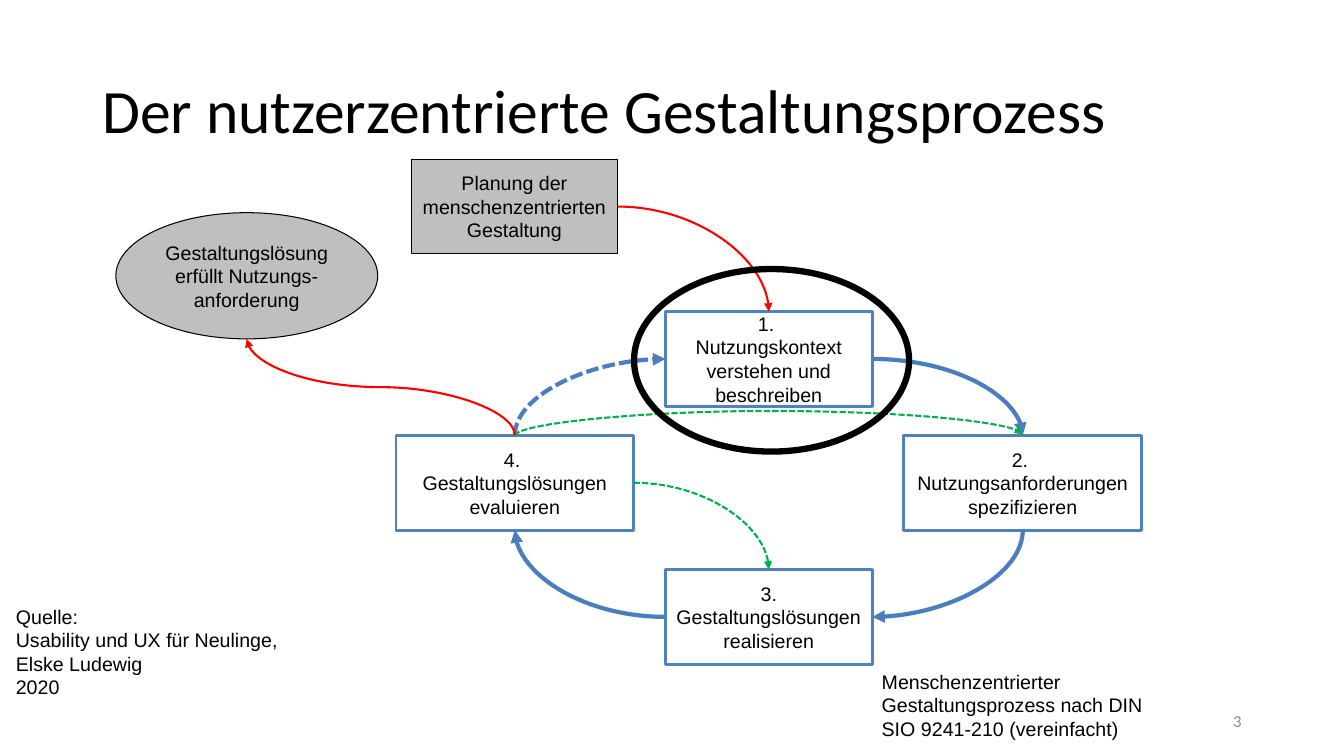
from lxml import etree
from pptx import Presentation
from pptx.dml.color import RGBColor
from pptx.enum import dml, shapes, text
from pptx.oxml import ns
from pptx.util import Cm, Pt

BLACK = RGBColor(0, 0, 0)
WHITE = RGBColor(255, 255, 255)
SILVER = RGBColor(0xBF, 0xBF, 0xBF)
GREY = RGBColor(0x8C, 0x8C, 0x8C)
BLUE = RGBColor(0x4F, 0x81, 0xBD)
STEEL = RGBColor(0x4B, 0x7E, 0xBC)
GREEN = RGBColor(0, 0xB0, 0x50)
RED = RGBColor(255, 0, 0)

TOP, LEFT, BOTTOM, RIGHT = range(4)
RECT, OVAL = shapes.MSO_SHAPE.RECTANGLE, shapes.MSO_SHAPE.OVAL
CENTER, END = text.PP_ALIGN.CENTER, text.PP_ALIGN.RIGHT
MIDDLE, UPPER = text.MSO_ANCHOR.MIDDLE, text.MSO_ANCHOR.TOP
HIGH = 2.39


def write(shape, lines, size=14, font="Arial", color=BLACK, align=None,
          anchor=UPPER, spacing=None):
    frame = shape.text_frame
    frame.word_wrap = True
    frame.vertical_anchor = anchor
    for i, line in enumerate(lines):
        para = frame.add_paragraph() if i else frame.paragraphs[0]
        para.alignment, para.line_spacing = align, spacing
        run = para.add_run()
        run.text = line
        for name, value in {"size": Pt(size), "name": font}.items():
            setattr(run.font, name, value)
        run.font.color.rgb = color


def label(slide, box, lines, **style):
    write(slide.shapes.add_textbox(*map(Cm, box)), lines, **style)


def node(slide, kind, box, lines, fill, line, width):
    shape = slide.shapes.add_shape(kind, *map(Cm, box))
    shape.shadow.inherit = False
    if fill is None:
        shape.fill.background()
    else:
        shape.fill.solid()
        shape.fill.fore_color.rgb = fill
    shape.line.color.rgb = line
    shape.line.width = Pt(width)
    if lines:
        write(shape, lines, align=CENTER, anchor=MIDDLE)
    return shape


def bend(link, upright, preset, adj):
    """Turn and flip the curve so that it leaves its start upright or level."""
    dx, dy = link.end_x - link.begin_x, link.end_y - link.begin_y
    midx, midy = link.begin_x + dx // 2, link.begin_y + dy // 2
    wide, high = abs(dx), abs(dy)
    props = link._element.spPr
    xfrm = props.find(ns.qn("a:xfrm"))
    if upright:
        wide, high = max(high, Pt(1)), wide
        flips = dy <= 0, dx > 0
        xfrm.set("rot", "5400000")
    else:
        flips = dx < 0, dy < 0
    for name, flip in zip(("flipH", "flipV"), flips):
        xfrm.set(name, str(int(flip)))
    link.left, link.top = midx - wide // 2, midy - high // 2
    link.width, link.height = wide, high
    geom = props.find(ns.qn("a:prstGeom"))
    geom.set("prst", preset)
    if adj:
        guide = etree.SubElement(geom.find(ns.qn("a:avLst")), ns.qn("a:gd"))
        guide.set("name", "adj1")
        guide.set("fmla", f"val {adj}")


def arrow(slide, start, side, goal, into, color, width, dash=False, adj=None):
    link = slide.shapes.add_connector(shapes.MSO_CONNECTOR.CURVE, 0, 0, 0, 0)
    link.begin_connect(start, side)
    link.end_connect(goal, into)
    if goal.auto_shape_type == OVAL:  # an oval has eight sites, not four
        site = link._element.find(".//" + ns.qn("a:endCxn"))
        site.set("idx", str(into * 2))
    turns = 3 if side % 2 == into % 2 else 2
    bend(link, side in (TOP, BOTTOM), f"curvedConnector{turns}", adj)
    link.line.color.rgb = color
    link.line.width = Pt(width)
    if dash:
        link.line.dash_style = dml.MSO_LINE.SQUARE_DOT
    tail = etree.SubElement(link.line._get_or_add_ln(), ns.qn("a:tailEnd"))
    tail.set("type", "triangle")
    etree.SubElement(link._element.spPr, ns.qn("a:effectLst"))


def cycle(slide, x, y, w, h):
    """Four steps on a ring: top, right, bottom, left."""
    slim, broad = 5.21, 5.99
    mid, low, edge = x + (w - slim) / 2, y + h - HIGH, x + w - broad
    steps = [
        (mid, y, slim, ["1. ", "Nutzungskontext verstehen und beschreiben"]),
        (edge, y + 3.12, broad, ["2. ", "Nutzungsanforderungen spezifizieren"]),
        (mid, low, slim, ["3. Gestaltungslösungen", "realisieren"]),
        (x, y + 3.12, broad, ["4. ", "Gestaltungslösungen evaluieren"]),
    ]
    return [node(slide, RECT, (left, top, wide, HIGH), lines, WHITE, BLUE, 2)
            for left, top, wide, lines in steps]


def ends(slide, x, y):
    """Grey start box and grey result oval."""
    plan = node(slide, RECT, (x + 7.44, y, 5.21, HIGH),
                ["Planung der menschenzentrierten Gestaltung"],
                SILVER, BLACK, 0.75)
    done = node(slide, OVAL, (x, y + 1.35, 6.6, 3.18),
                ["Gestaltungslösung erfüllt Nutzungs-anforderung"],
                SILVER, BLACK, 0.75)
    return plan, done


def flow(slide, x, y):
    one, two, three, four = cycle(slide, x + 7.06, y + 3.84, 18.79, 8.89)
    plan, done = ends(slide, x, y)
    for link in [
        (four, TOP, one, LEFT, STEEL, 3, True),
        (one, RIGHT, two, TOP, STEEL, 3),
        (two, BOTTOM, three, RIGHT, STEEL, 3),
        (three, LEFT, four, BOTTOM, STEEL, 3),
        (four, RIGHT, three, TOP, GREEN, 1.5, True),
        (four, TOP, two, TOP, GREEN, 1.5, True, 1800000),
        (plan, RIGHT, one, TOP, RED, 1.5),
        (four, TOP, done, BOTTOM, RED, 1.5),
    ]:
        arrow(slide, *link)
    node(slide, OVAL, (x + 13.06, y + 2.77, 6.93, 4.6), [], None, BLACK, 4.5)


def main():
    deck = Presentation()
    deck.slide_width, deck.slide_height = Cm(33.87), Cm(19.05)
    slide = deck.slides.add_slide(deck.slide_layouts[6])
    label(slide, (2.33, 1.01, 29.21, 3.68),
          ["Der nutzerzentrierte Gestaltungsprozess"],
          size=44, font="Calibri", anchor=MIDDLE, spacing=0.9)
    label(slide, (23.92, 17.66, 7.62, 1.01), ["3"], size=12, font="Calibri",
          color=GREY, align=END, anchor=MIDDLE)
    flow(slide, 2.92, 4.01)
    label(slide, (0.15, 15.11, 7.37, 2.64),
          ["Quelle:", "Usability und UX für Neulinge,", "Elske Ludewig", "2020"])
    label(slide, (21.97, 16.75, 7.37, 2.06),
          ["Menschenzentrierter Gestaltungsprozess nach DIN SIO 9241-210 "
           "(vereinfacht)"])
    deck.save("out.pptx")


if __name__ == "__main__":
    main()
